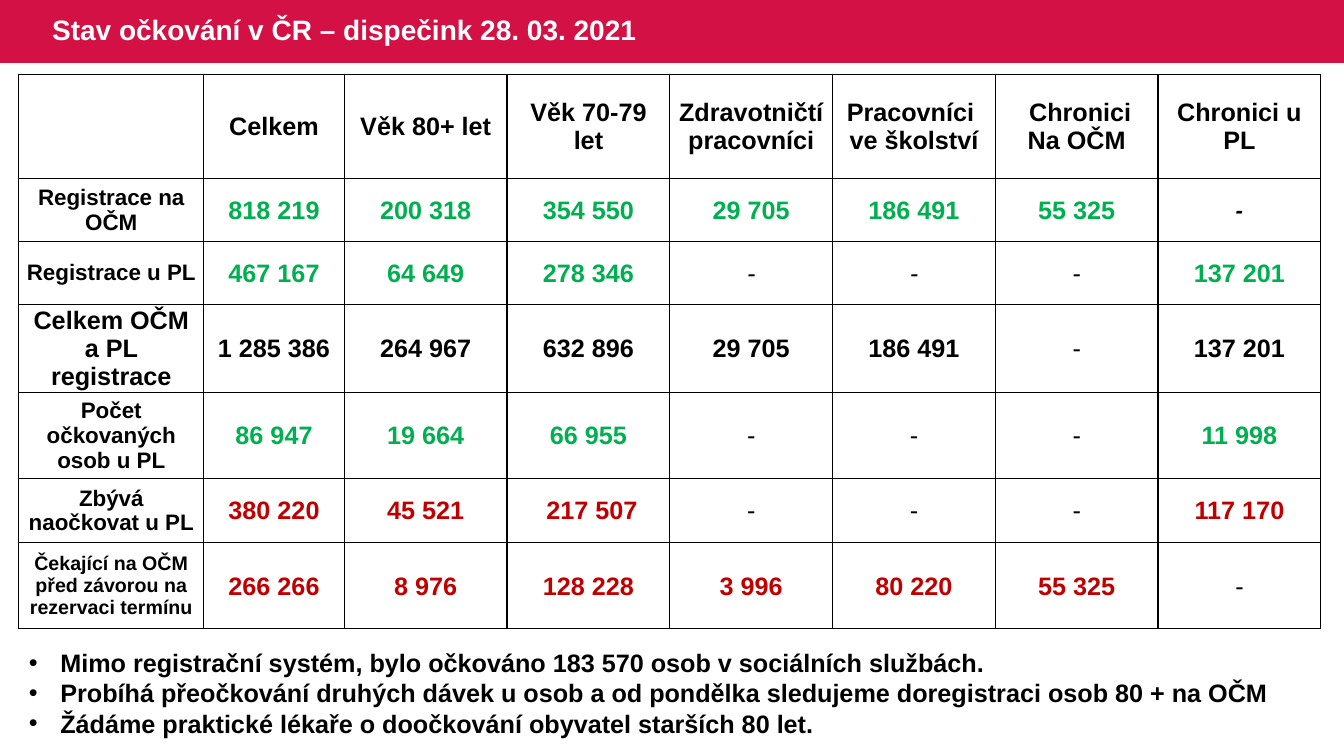
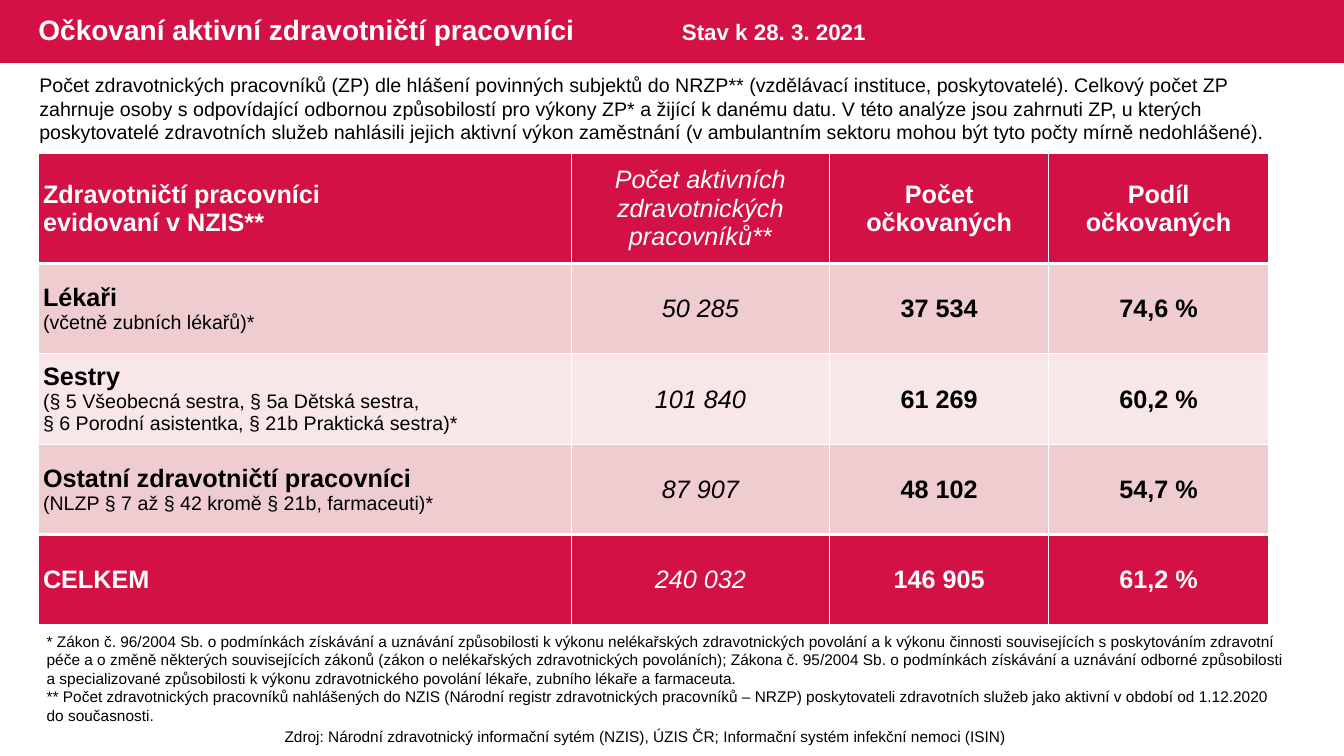
"""Build two slides on the state of vaccination."""
from dataclasses import dataclass, replace

from lxml.etree import Element, SubElement
from pptx import Presentation
from pptx.dml.color import RGBColor
from pptx.enum.shapes import MSO_SHAPE as Preset
from pptx.enum.text import MSO_ANCHOR as Anchor, MSO_AUTO_SIZE as AutoSize, PP_ALIGN as Align
from pptx.oxml.ns import qn
from pptx.util import Pt

PX = 9525


@dataclass(frozen=True)
class Look:
    size: int
    color: str
    bold: bool = False
    italic: bool = False


class Theme:
    font = "Arial"
    crimson, rose, blush = "D31145", "EFCCCF", "F7E7E9"
    white, black, green, red = "FFFFFF", "000000", "00B050", "C00000"
    title = Look(20, white, bold=True)
    date = Look(16, white, bold=True)
    strong = Look(18, black, bold=True)
    plain = Look(18, black)
    label = Look(16, black, bold=True)
    small_label = Look(14, black, bold=True)
    detail = Look(14, black)
    note = Look(11, black)
    thin, thick = 1, 3


class Builder:
    def __init__(self):
        self.deck = Presentation()
        self.deck.slide_width, self.deck.slide_height = 1280 * PX, 720 * PX
        self.layout = self.deck.slide_layouts.get_by_name("Title Only")
        self.slide = None

    def add_band(self):
        band = self.slide.shapes.add_shape(Preset.RECTANGLE, 0, 0, 1280 * PX, 60 * PX)
        band.shadow.inherit = False
        band.fill.solid()
        band.fill.fore_color.rgb = RGBColor.from_string(Theme.crimson)
        band.line.fill.background()
        self.layout.shapes.element.insert(2, band.element)

    def add_page(self, title, left, width):
        first = self.slide is None
        self.slide = self.deck.slides.add_slide(self.layout)
        if first:
            self.add_band()
        box = self.slide.shapes.title
        box.left, box.top, box.width, box.height = left * PX, 0, width * PX, 60 * PX
        frame = box.text_frame
        frame.auto_size = AutoSize.NONE
        frame.vertical_anchor = Anchor.MIDDLE
        self.set_text(frame, title, [Theme.title], Align.LEFT)
        frame.paragraphs[0].line_spacing = 0.9

    def set_text(self, frame, text, looks, align, bullet=None):
        frame.text = text
        for index, para in enumerate(frame.paragraphs):
            look = looks[min(index, len(looks) - 1)]
            para.alignment = align
            if bullet:
                self.add_bullet(para, bullet)
            for span in para.runs:
                font = span.font
                font.name, font.size = Theme.font, Pt(look.size)
                font.bold, font.italic = look.bold, look.italic
                font.color.rgb = RGBColor.from_string(look.color)

    def add_bullet(self, para, bullet, indent=30):
        props = para._p.get_or_add_pPr()
        props.set("marL", str(indent * PX))
        props.set("indent", str(-indent * PX))
        SubElement(props, qn("a:buFont"), typeface=Theme.font)
        SubElement(props, qn("a:buChar"), char=bullet)

    def add_text(self, text, place, look, align=Align.LEFT, bullet=None):
        box = self.slide.shapes.add_textbox(*(length * PX for length in place))
        frame = box.text_frame
        frame.word_wrap = True
        frame.auto_size = AutoSize.SHAPE_TO_FIT_TEXT
        self.set_text(frame, text, [look], align, bullet)

    def add_table(self, rows, left, top, widths, heights, margin, style,
                  line, heavy_edges=()):
        shape = self.slide.shapes.add_table(
            len(rows), len(widths), left * PX, top * PX,
            sum(widths) * PX, sum(heights) * PX)
        table = shape.table
        table.first_row = table.horz_banding = False
        for column, width in zip(table.columns, widths):
            column.width = width * PX
        for row, height in zip(table.rows, heights):
            row.height = height * PX
        for r, texts in enumerate(rows):
            edges = [Theme.thick if edge in heavy_edges else Theme.thin
                     for edge in (r, r + 1)]
            for c, text in enumerate(texts):
                cell = table.cell(r, c)
                looks, align, fill = style(r, c, text)
                is_value = r > 0 and c > 0
                side = 1 if is_value else margin
                cell.margin_left = cell.margin_right = side * PX
                cell.margin_top, cell.margin_bottom = is_value * PX, 0
                cell.vertical_anchor = Anchor.MIDDLE
                self.set_text(cell.text_frame, text, looks, align)
                if fill:
                    cell.fill.solid()
                    cell.fill.fore_color.rgb = RGBColor.from_string(fill)
                else:
                    cell.fill.background()
                self.add_borders(cell, line, *edges)

    def add_borders(self, cell, color, top, bottom):
        props = cell._tc.get_or_add_tcPr()
        sides = {"L": Theme.thin, "R": Theme.thin, "T": top, "B": bottom}
        for index, (side, width) in enumerate(sides.items()):
            border = Element(qn("a:ln" + side), w=str(Pt(width)))
            paint = SubElement(border, qn("a:solidFill"))
            SubElement(paint, qn("a:srgbClr"), val=color)
            props.insert(index, border)


def status_style(row, column, text):
    row_colors = [Theme.black, Theme.green, Theme.green, Theme.black,
                  Theme.green, Theme.red, Theme.red]
    if row and column == 0:
        look = {3: Theme.strong, 6: Theme.small_label}.get(row, Theme.label)
    elif text == "-":
        special = {(1, 7): replace(Theme.label, italic=True),
                   (2, 4): replace(Theme.plain, italic=True),
                   (2, 5): replace(Theme.plain, italic=True)}
        look = special.get((row, column), Theme.plain)
    else:
        look = replace(Theme.strong, color=row_colors[row])
    return [look], Align.CENTER, None


def staff_style(row, column, text):
    fill = [Theme.crimson, Theme.rose, Theme.blush, Theme.rose, Theme.crimson][row]
    dark = fill == Theme.crimson
    look = replace(Theme.strong, color=Theme.white if dark else Theme.black,
                   bold=column != 1, italic=column == 1)
    looks = [look] if dark or column else [look, Theme.detail]
    return looks, Align.CENTER if column else Align.LEFT, fill


def build_status(builder):
    builder.add_page("Stav očkování v ČR – dispečink 28. 03. 2021", 40, 642)
    rows = [
        ["", "Celkem", "Věk 80+ let", "Věk 70-79 let", "Zdravotničtí pracovníci",
         "Pracovníci \nve školství", " Chronici\nNa OČM", "Chronici u PL"],
        ["Registrace na OČM", "818 219", "200 318", "354 550", "29 705",
         "186 491", "55 325", "-"],
        ["Registrace u PL", "467 167", "64 649", "278 346", "-", "-", "-", "137 201"],
        ["Celkem OČM a PL registrace", "1 285 386", "264 967", "632 896", "29 705",
         "186 491", "-", "137 201"],
        ["Počet očkovaných osob u PL", "86 947", "19 664", "66 955", "-", "-", "-",
         "11 998"],
        ["Zbývá naočkovat u PL", "380 220", "45 521", " 217 507", "-", "-", "-",
         "117 170"],
        ["Čekající na OČM před závorou na rezervaci termínu", "266 266", "8 976",
         "128 228", "3 996", "80 220", "55 325", "-"],
    ]
    builder.add_table(rows, 18, 71, [176, 134] + [155] * 6,
                      [99, 60, 60, 84, 82, 61, 82], 5, status_style, Theme.black)
    builder.add_text(
        "Mimo registrační systém, bylo očkováno 183 570 osob v sociálních službách.\n"
        "Probíhá přeočkování druhých dávek u osob a od pondělka sledujeme "
        "doregistraci osob 80 + na OČM\n"
        "Žádáme praktické lékaře o doočkování obyvatel starších 80 let.",
        (18, 612, 1238, 97), Theme.strong, bullet="•")


def build_staff(builder):
    builder.add_page("Očkovaní aktivní zdravotničtí pracovníci", 27, 780)
    builder.add_text("Stav k 28. 3. 2021", (640, 13, 211, 35), Theme.date)
    builder.add_text(
        "Počet zdravotnických pracovníků (ZP) dle hlášení povinných subjektů do "
        "NRZP** (vzdělávací instituce, poskytovatelé). Celkový počet ZP zahrnuje "
        "osoby s odpovídající odbornou způsobilostí pro výkony ZP* a žijící k danému "
        "datu. V této analýze jsou zahrnuti ZP, u kterých poskytovatelé zdravotních "
        "služeb nahlásili jejich aktivní výkon zaměstnání (v ambulantním sektoru "
        "mohou být tyto počty mírně nedohlášené).",
        (28, 65, 1213, 78), Theme.detail)
    rows = [
        ["Zdravotničtí pracovníci\nevidovaní v NZIS**",
         "Počet aktivních zdravotnických pracovníků**", "Počet očkovaných",
         "Podíl očkovaných"],
        ["Lékaři\n(včetně zubních lékařů)*", "50 285", "37 534", "74,6 %"],
        ["Sestry\n(§ 5 Všeobecná sestra, § 5a Dětská sestra,\n"
         "§ 6 Porodní asistentka, § 21b Praktická sestra)*",
         "101 840", "61 269", "60,2 %"],
        ["Ostatní zdravotničtí pracovníci\n"
         "(NLZP § 7 až § 42 kromě § 21b, farmaceuti)*",
         "87 907", "48 102", "54,7 %"],
        ["CELKEM", "240 032", "146 905", "61,2 %"],
    ]
    builder.add_table(rows, 37, 146, [507, 246, 209, 209], [105] + [86] * 4, 4,
                      staff_style, Theme.white, heavy_edges=(1, 4))
    builder.add_text(
        "* Zákon č. 96/2004 Sb. o podmínkách získávání a uznávání způsobilosti k "
        "výkonu nelékařských zdravotnických povolání a k výkonu činnosti "
        "souvisejících s poskytováním zdravotní péče a o změně některých "
        "souvisejících zákonů (zákon o nelékařských zdravotnických povoláních); "
        "Zákona č. 95/2004 Sb. o podmínkách získávání a uznávání odborné "
        "způsobilosti a specializované způsobilosti k výkonu zdravotnického povolání "
        "lékaře, zubního lékaře a farmaceuta.\n"
        "** Počet zdravotnických pracovníků nahlášených do NZIS (Národní registr "
        "zdravotnických pracovníků – NRZP) poskytovateli zdravotních služeb jako "
        "aktivní v období od 1.12.2020 do současnosti.",
        (35, 597, 1203, 99), Theme.note)
    builder.add_text(
        "Zdroj: Národní zdravotnický informační sytém (NZIS), ÚZIS ČR; Informační "
        "systém infekční nemoci (ISIN) ",
        (182, 688, 870, 28), Theme.note, Align.CENTER)


def main():
    builder = Builder()
    build_status(builder)
    build_staff(builder)
    builder.deck.save("out.pptx")


if __name__ == "__main__":
    main()
